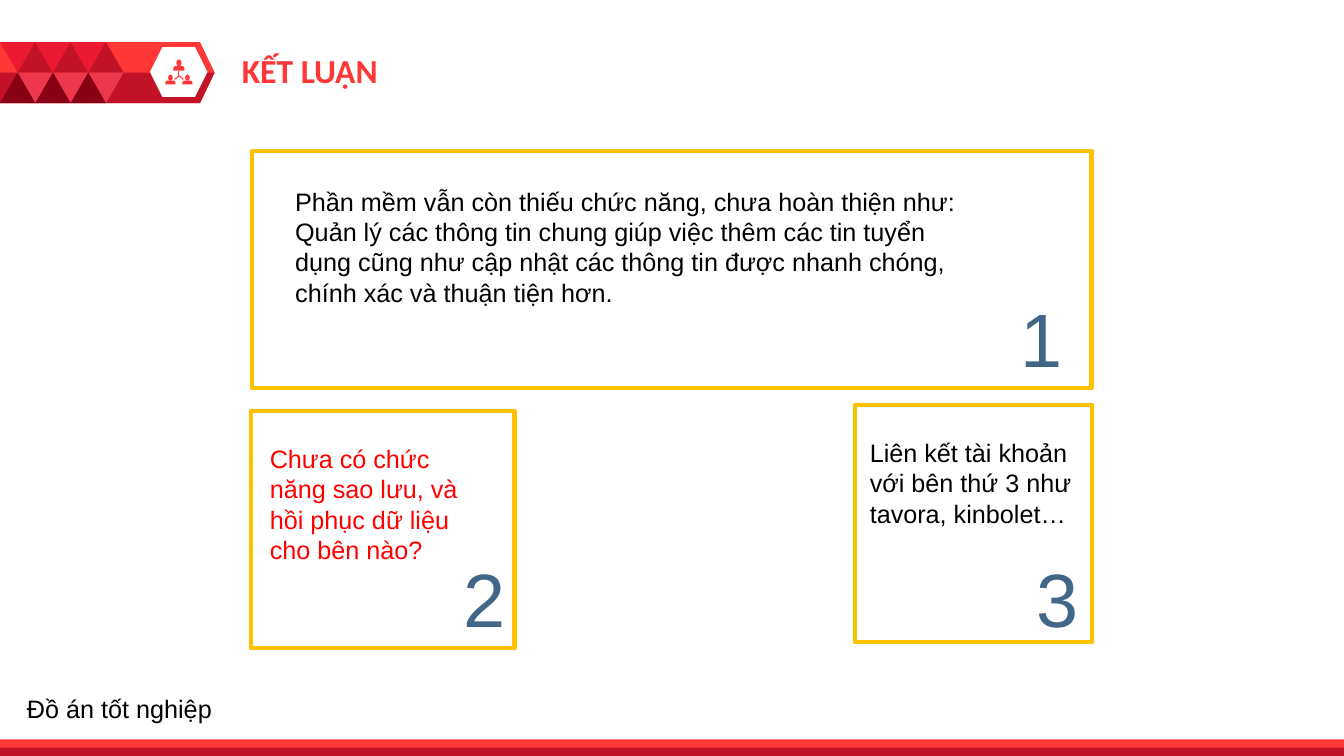
from collections import namedtuple

from lxml.etree import SubElement
from pptx import Presentation
from pptx.dml.color import RGBColor
from pptx.enum.shapes import MSO_CONNECTOR, MSO_SHAPE
from pptx.enum.text import MSO_ANCHOR, MSO_AUTO_SIZE, PP_ALIGN
from pptx.oxml.ns import qn
from pptx.util import Cm, Pt

Box = namedtuple("Box", "left top width height")
Card = namedtuple("Card", "box text_box number_box text color")

RED, DARK_RED, GOLD, BLUE = "FF3737", "C21227", "FFC000", "426687"
BLACK, WHITE = "000000", "FFFFFF"

CARDS = [
    Card(Box(6.35, 3.81, 21.16, 5.97), Box(0.84, 0.76, 17.58, 3.33), Box(16.51, 3.43, 4.17, 2.57),
         "Phần mềm vẫn còn thiếu chức năng, chưa hoàn thiện như: "
         "Quản lý các thông tin chung giúp việc thêm các tin tuyển dụng cũng như "
         "cập nhật các thông tin được nhanh chóng, chính xác và thuận tiện hơn.", BLACK),
    Card(Box(6.32, 10.36, 6.65, 5.97), Box(0.23, 0.69, 5.59, 3.33), Box(2.49, 3.43, 4.17, 2.57),
         "Chưa có chức năng sao lưu, và hồi phục dữ liệu cho bên nào?", "FF0000"),
    Card(Box(21.54, 10.21, 5.99, 5.97), Box(0.13, 0.69, 5.99, 4.11), Box(1.73, 3.58, 4.17, 2.57),
         "Liên kết tài khoản với bên thứ 3 như tavora, kinbolet…", BLACK),
]


def rgb(color):
    return RGBColor.from_string(color)


def inside(outer, inner):
    return Box(outer.left + inner.left, outer.top + inner.top, inner.width, inner.height)


def lengths(box):
    return [Cm(value) for value in box]


def add_filled_shape(slide, kind, box, color):
    shape = slide.shapes.add_shape(kind, *lengths(box))
    shape.shadow.inherit = False
    shape.fill.solid()
    shape.fill.fore_color.rgb = rgb(color)
    shape.line.fill.background()
    return shape


def write(shape, text, size, color, font_name="Arial", alignment=PP_ALIGN.LEFT):
    frame = shape.text_frame
    frame.word_wrap = True
    frame.auto_size = MSO_AUTO_SIZE.NONE
    frame.vertical_anchor = MSO_ANCHOR.TOP
    frame.text = text
    paragraph = frame.paragraphs[0]
    paragraph.alignment = alignment
    paragraph.font.name = font_name
    paragraph.font.size = Pt(size)
    paragraph.font.color.rgb = rgb(color)
    return paragraph


def add_text(slide, box, text, size, color, alignment=PP_ALIGN.LEFT):
    text_box = slide.shapes.add_textbox(*lengths(box))
    write(text_box, text, size, color, alignment=alignment)


def add_person(slide, box):
    left, top, width, height = box
    head = Box(left + width * 0.27, top, width * 0.46, height * 0.62)
    shoulders = Box(left, top + height * 0.6, width, height * 0.4)
    add_filled_shape(slide, MSO_SHAPE.OVAL, head, RED)
    add_filled_shape(slide, MSO_SHAPE.ROUND_2_SAME_RECTANGLE, shoulders, RED).adjustments[0] = 0.5


def add_team_icon(slide, box):
    add_filled_shape(slide, MSO_SHAPE.HEXAGON, box, WHITE)
    for left, top, size in [(0.59, 0.31, 0.28), (0.39, 0.69, 0.25), (0.82, 0.69, 0.25)]:
        add_person(slide, inside(box, Box(left, top, size, size)))
    hub_left, hub_top = box.left + 0.73, box.top + 0.72
    for across, down in [(0, -0.11), (-0.11, 0.09), (0.11, 0.09)]:
        link = slide.shapes.add_connector(
            MSO_CONNECTOR.STRAIGHT, Cm(hub_left), Cm(hub_top),
            Cm(hub_left + across), Cm(hub_top + down))
        link.line.color.rgb = rgb(RED)
        link.line.width = Pt(0.75)
        SubElement(link._element.spPr, qn("a:effectLst"))


def add_triangles(slide, box):
    pitch, row_height = 0.89, box.height / 2
    triangles = [(0, 0, 180, "EB1932"), (0.5, 0, 0, DARK_RED),
                 (0.5, 1, 180, "ED374D"), (0, 1, 0, "880014")]
    for column in range(3):
        for shift, row, rotation, color in triangles:
            place = Box((column + shift) * pitch, row * row_height, pitch, row_height)
            triangle = add_filled_shape(
                slide, MSO_SHAPE.ISOSCELES_TRIANGLE, inside(box, place), color)
            triangle.rotation = rotation


def add_banner(slide, box):
    left, top, width, height = box
    add_filled_shape(slide, MSO_SHAPE.PENTAGON, box, RED).adjustments[0] = 0.24
    right, middle, bottom = left + width, top + height / 2, top + height
    builder = slide.shapes.build_freeform(Cm(left), Cm(middle))
    builder.add_line_segments([(Cm(right), Cm(middle)), (Cm(right - 0.37), Cm(bottom)),
                               (Cm(left), Cm(bottom))], close=True)
    lower_half = builder.convert_to_shape()
    lower_half.shadow.inherit = False
    lower_half.fill.solid()
    lower_half.fill.fore_color.rgb = rgb(DARK_RED)
    lower_half.line.fill.background()
    add_team_icon(slide, inside(box, Box(3.78, 0.13, 1.45, 1.25)))
    add_triangles(slide, box)


def add_title(slide, box):
    title = slide.shapes.title
    title.left, title.top, title.width, title.height = lengths(box)
    write(title, "KẾT LUẬN", 24, RED, "Calibri").font.bold = True


def add_card(slide, number, card):
    frame = slide.shapes.add_shape(MSO_SHAPE.RECTANGLE, *lengths(card.box))
    frame.shadow.inherit = False
    frame.fill.background()
    frame.line.color.rgb = rgb(GOLD)
    frame.line.width = Pt(3)
    add_text(slide, inside(card.box, card.text_box), card.text, 18, card.color)
    add_text(slide, inside(card.box, card.number_box), str(number), 54, BLUE, PP_ALIGN.RIGHT)


def add_footer(slide, box):
    add_text(slide, inside(box, Box(0.43, 0, 7.19, 1.02)), "Đồ án tốt nghiệp", 18, BLACK)
    stripe = 0.21
    bottom = box.top + box.height
    for layers, color in [(2, RED), (1, DARK_RED)]:
        height = layers * stripe
        add_filled_shape(slide, MSO_SHAPE.RECTANGLE,
                         Box(box.left, bottom - height, box.width, height), color)


def main():
    presentation = Presentation()
    presentation.slide_width, presentation.slide_height = Cm(33.87), Cm(19.05)
    slide = presentation.slides.add_slide(presentation.slide_layouts.get_by_name("Title Only"))
    add_banner(slide, Box(0, 1.06, 5.41, 1.54))
    add_title(slide, Box(5.84, 1.14, 10.72, 1.27))
    for number, card in enumerate(CARDS, 1):
        add_card(slide, number, card)
    add_footer(slide, Box(0, 17.35, 33.87, 1.7))
    presentation.save("out.pptx")


if __name__ == "__main__":
    main()
